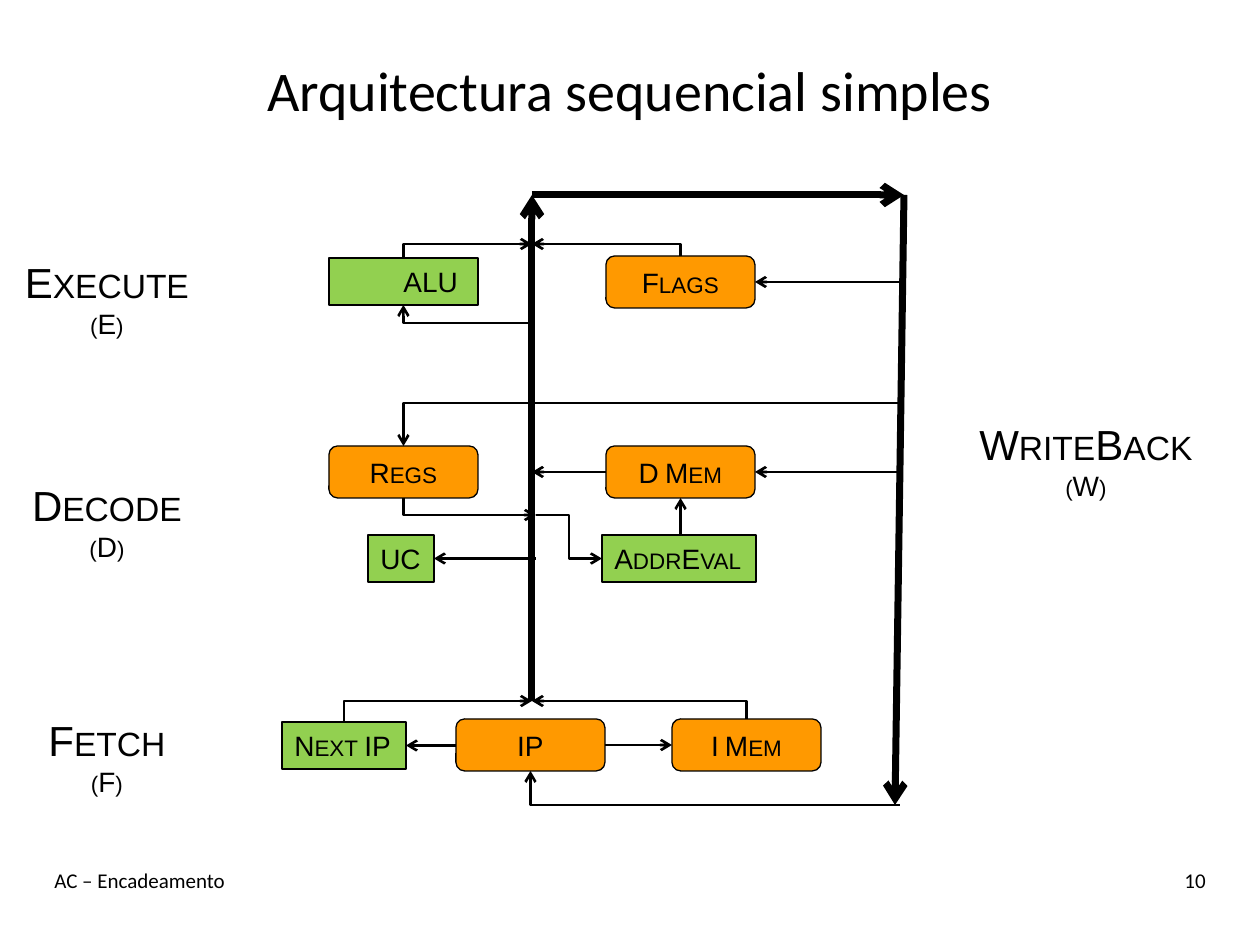
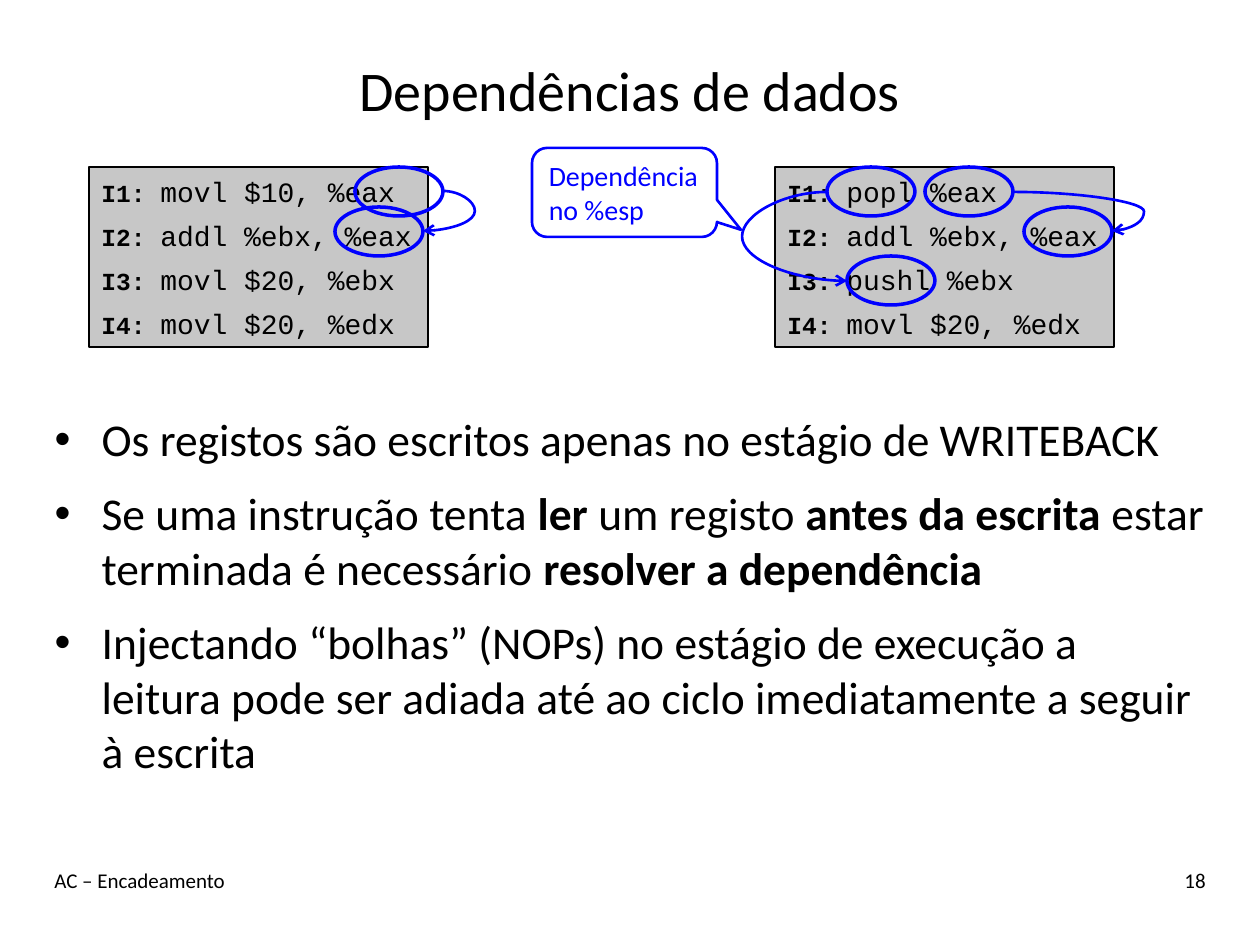
from lxml.etree import SubElement
from pptx import Presentation
from pptx.dml.color import RGBColor
from pptx.enum.shapes import MSO_CONNECTOR as LINK, MSO_SHAPE as SHAPE
from pptx.enum.text import MSO_ANCHOR as ANCHOR, MSO_AUTO_SIZE as FIT, PP_ALIGN as ALIGN
from pptx.oxml.ns import qn
from pptx.util import Emu, Pt

EMU_PER_PIXEL = 914400 / 126
BLACK, BLUE, ORANGE, GREEN, GREY = "000000", "0000FF", "FF9900", "92D050", "C7C7C7"
TITLE = {"name": "Calibri", "size": Pt(32)}
BODY = {"name": "Calibri", "size": Pt(26)}
FOOTER = {"name": "Calibri", "size": Pt(12)}
NOTE = {"name": "Calibri", "size": Pt(16)}
LABEL = {"name": "Arial", "size": Pt(16)}
STAGE = {"name": "Arial", "size": Pt(24)}
CODE = {"name": "Courier New", "size": Pt(16)}
CODE_TAG = {"name": "Courier New", "size": Pt(14), "bold": True}


def px(*lengths):
    """Turn pixel lengths into a list of EMU lengths."""
    return [Emu(round(length * EMU_PER_PIXEL)) for length in lengths]


def add_span(para, text, formats, color=BLACK, small_caps=False):
    """Append a formatted run to a paragraph."""
    span = para.add_run()
    span.text = text
    for name, value in formats.items():
        setattr(span.font, name, value)
    span.font.color.rgb = RGBColor.from_string(color)
    if small_caps:
        span.font._element.set("cap", "small")


deck = Presentation()
deck.slide_width, deck.slide_height = px(1260, 945)
shapes = []  # shape, fill, line colour, line width
wires = []   # connector, colour, width, end that carries the arrow

# Titles and footers
pages = []
for layout, title, number in ((5, "Arquitectura sequencial simples", "10"),
                              (1, "Dependências de dados", "18")):
    page = deck.slides.add_slide(deck.slide_layouts[layout])
    pages.append(page)
    heading = page.shapes.title
    heading.left, heading.top, heading.width, heading.height = px(42, 31, 1176, 116)
    heading.text_frame.vertical_anchor = ANCHOR.MIDDLE
    para = heading.text_frame.paragraphs[0]
    para.alignment = ALIGN.CENTER
    add_span(para, title, TITLE)
    for left, width, text, align in ((42, 882, "AC – Encadeamento", ALIGN.LEFT),
                                     (1050, 168, number, ALIGN.RIGHT)):
        box = page.shapes.add_textbox(*px(left, 861, width, 63))
        box.text_frame.word_wrap = True
        para = box.text_frame.paragraphs[0]
        para.alignment = align
        add_span(para, text, FOOTER)
datapath, hazards = pages

# Datapath: storage is orange and rounded, logic is green and square
units = {}
for name, left, top, width in (
        ("IP", 456, 719, 149), ("I Mem", 672, 719, 149), ("D Mem", 606, 446, 149),
        ("Regs", 329, 446, 149), ("Flags", 606, 256, 149), ("Next IP", 282, 722, 124),
        ("UC", 368, 535, 66), ("ALU", 329, 258, 149), ("AddrEval", 602, 535, 154)):
    logic = name in ("Next IP", "UC", "ALU", "AddrEval")
    kind, height, fill = (SHAPE.RECTANGLE, 47, GREEN) if logic else (SHAPE.ROUNDED_RECTANGLE, 52, ORANGE)
    unit = datapath.shapes.add_shape(kind, *px(left, top, width, height))
    shapes.append((unit, fill, BLACK, 0.75))
    fitted = logic and name != "ALU"
    unit.text_frame.word_wrap = not fitted
    para = unit.text_frame.paragraphs[0]
    para.alignment = ALIGN.LEFT if fitted else ALIGN.CENTER
    add_span(para, name, LABEL, small_caps=name != "IP")
    units[name] = unit

# Stage names, each centred on its column
for name, center, top in (("Fetch", 107, 708), ("Decode", 107, 473),
                          ("Execute", 107, 250), ("WriteBack", 1086, 412)):
    box = datapath.shapes.add_textbox(*px(center - 120, top, 240, 97))
    frame = box.text_frame
    frame.word_wrap = False
    for para, text, formats in ((frame.paragraphs[0], name, STAGE),
                                (frame.add_paragraph(), f"({name[0]})", LABEL)):
        para.alignment = ALIGN.CENTER
        add_span(para, text, formats, small_caps=True)

# Thick buses
for ends in ((532, 701, 532, 195), (532, 195, 904, 195), (904, 195, 895, 805)):
    bus = datapath.shapes.add_connector(LINK.STRAIGHT, *px(*ends))
    wires.append((bus, BLACK, 4, "tail"))

# Thin wires run from a point to a side of a unit; corners leave the point sideways
TOP, LEFT, BOTTOM, RIGHT = range(4)
for x, y, name, side, preset, arrow in (
        (532, 701, "Next IP", TOP, "bentConnector2", "head"),
        (532, 701, "I Mem", TOP, "bentConnector2", "head"),
        (536, 515, "Regs", BOTTOM, "bentConnector2", "head"),
        (532, 244, "ALU", TOP, "bentConnector2", "head"),
        (532, 244, "Flags", TOP, "bentConnector2", "head"),
        (532, 323, "ALU", BOTTOM, "bentConnector2", "tail"),
        (900, 403, "Regs", TOP, "bentConnector2", "tail"),
        (900, 805, "IP", BOTTOM, "bentConnector2", "tail"),
        (536, 515, "AddrEval", LEFT, "bentConnector3", "tail"),
        (605, 745, "I Mem", LEFT, "line", "tail"),
        (456, 745, "Next IP", RIGHT, "line", "tail"),
        (536, 558, "UC", RIGHT, "line", "tail"),
        (532, 472, "D Mem", LEFT, "line", "head"),
        (900, 472, "D Mem", RIGHT, "line", "tail"),
        (680, 535, "D Mem", BOTTOM, "line", "tail"),
        (903, 282, "Flags", RIGHT, "line", "tail")):
    kind = LINK.STRAIGHT if preset == "line" else LINK.ELBOW
    wire = datapath.shapes.add_connector(kind, *px(x, y, x, y))
    wire.end_connect(units[name], side)
    wire.element.spPr.find(qn("a:prstGeom")).set("prst", preset)
    if preset == "line" and side in (LEFT, RIGHT):
        wire.begin_y = wire.end_y
    elif preset == "line":
        wire.begin_x = wire.end_x
    wires.append((wire, BLACK, 1.5, arrow))

# Conclusions
body = hazards.placeholders[1]
body.left, body.top, body.width, body.height = px(42, 405, 1176, 403)
frame = body.text_frame
frame.auto_size = FIT.NONE
conclusions = (
    (("Os registos são escritos apenas no estágio de WRITEBACK", False),),
    (("Se uma instrução tenta ", False), ("ler", True), (" um registo ", False),
     ("antes da escrita ", True), ("estar terminada é necessário ", False),
     ("resolver a dependência", True)),
    (("Injectando “bolhas” (NOPs) no estágio de execução a leitura pode ser adiada "
      "até ao ciclo imediatamente a seguir à escrita", False),))
indent = px(47)[0]
for index, spans in enumerate(conclusions):
    para = frame.add_paragraph() if index else frame.paragraphs[0]
    para.space_before, para.space_after = Pt(5.2), Pt(6)
    properties = para._p.get_or_add_pPr()
    properties.set("marL", str(indent))
    properties.set("indent", str(-indent))
    for text, bold in spans:
        add_span(para, text, {**BODY, "bold": bold})

# Code listings
for left, lines in (
        (89, ("movl $10, %eax", "addl %ebx, %eax", "movl $20, %ebx", "movl $20, %edx")),
        (775, ("popl %eax", "addl %ebx, %eax", "pushl %ebx", "movl $20, %edx"))):
    panel = hazards.shapes.add_shape(SHAPE.RECTANGLE, *px(left, 167, 339, 180))
    shapes.append((panel, GREY, BLACK, 1.25))
    frame = panel.text_frame
    frame.word_wrap = False
    for index, line in enumerate(lines):
        para = frame.add_paragraph() if index else frame.paragraphs[0]
        para.alignment = ALIGN.LEFT
        para.space_after = Pt(6)
        add_span(para, f"I{index + 1}: ", CODE_TAG)
        add_span(para, line, CODE)

# Dependent operands and the curves that join them
for left, top in ((355, 167), (335, 207), (925, 167), (1024, 207), (827, 167), (847, 256)):
    ring = hazards.shapes.add_shape(SHAPE.OVAL, *px(left, top, 88, 49))
    shapes.append((ring, None, BLUE, 2))
for start_x, start_y, end_x, end_y, bulge_x in (
        (443, 191, 423, 231, 475), (1014, 192, 1112, 231, 1144), (827, 192, 847, 281, 742)):
    curve = hazards.shapes.add_connector(LINK.CURVE, *px(start_x, start_y, end_x, end_y))
    bend = round(100000 * (bulge_x - start_x) / (end_x - start_x))
    guides = curve.element.spPr.find(qn("a:prstGeom")).find(qn("a:avLst"))
    SubElement(guides, qn("a:gd"), name="adj1", fmla=f"val {bend}")
    wires.append((curve, BLUE, 1.5, "tail"))

callout = hazards.shapes.add_shape(SHAPE.ROUNDED_RECTANGULAR_CALLOUT, *px(532, 148, 185, 89))
for index, value in enumerate((0.63, 0.42, 0.17)):
    callout.adjustments[index] = value
shapes.append((callout, None, BLUE, 1.5))
frame = callout.text_frame
frame.word_wrap = False
for para, text in ((frame.paragraphs[0], "Dependência"), (frame.add_paragraph(), "no %esp")):
    para.alignment = ALIGN.LEFT
    add_span(para, text, NOTE, BLUE)

# Outlines, fills and arrowheads
for shape, fill, color, width in shapes:
    shape.shadow.inherit = False
    if fill:
        shape.fill.solid()
        shape.fill.fore_color.rgb = RGBColor.from_string(fill)
    else:
        shape.fill.background()
    shape.line.color.rgb = RGBColor.from_string(color)
    shape.line.width = Pt(width)
for wire, color, width, arrow in wires:
    wire.line.color.rgb = RGBColor.from_string(color)
    wire.line.width = Pt(width)
    SubElement(wire.line._get_or_add_ln(), qn(f"a:{arrow}End"), type="arrow")
    SubElement(wire.element.spPr, qn("a:effectLst"))

deck.save("out.pptx")
